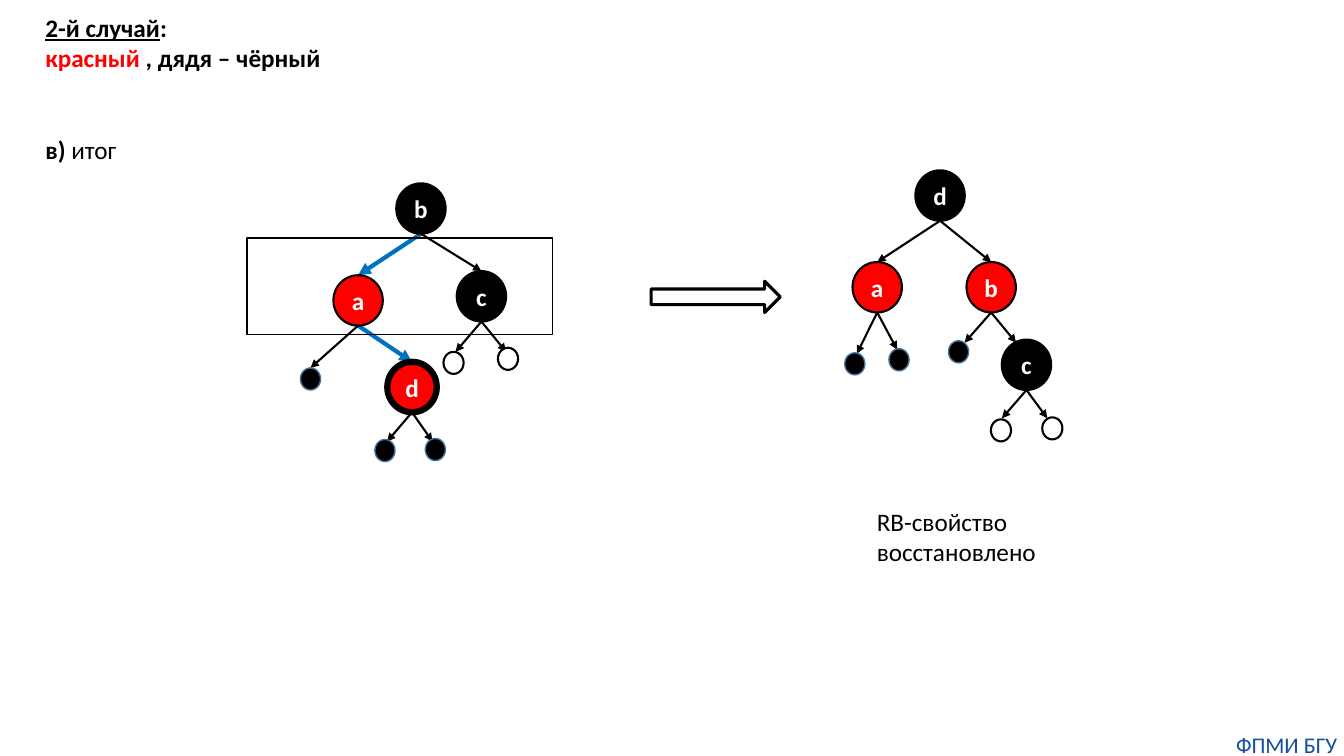
"""Build the slide showing the second red-black tree case and its result."""
import dataclasses

import pptx
import pptx.dml.color
import pptx.enum.shapes
import pptx.enum.text
import pptx.util
from lxml import etree

Pt = pptx.util.Pt
Shape = pptx.enum.shapes.MSO_SHAPE
Align = pptx.enum.text.PP_ALIGN
Anchor = pptx.enum.text.MSO_ANCHOR


@dataclasses.dataclass(frozen=True)
class Theme:
    """Colours, font and sizes of the slide."""
    font: str = "Calibri"
    body_size: float = 18
    footer_size: float = 16
    black: str = "000000"
    white: str = "FFFFFF"
    red: str = "FF0000"
    path_blue: str = "0070C0"
    leaf_line: str = "43739E"
    footer_blue: str = "144E9D"
    node_size: tuple = (35.3, 36)
    leaf_size: tuple = (14.4, 15.8)


THEME = Theme()


@dataclasses.dataclass(frozen=True)
class Node:
    """A tree node placed by its top centre, with the arrow tip offset from there."""
    label: str
    parent: str
    x: float
    top: float
    fill: str
    tip: tuple = (0, 0)
    line_width: float = 1.5
    on_path: bool = False


BLACK, RED, WHITE = THEME.black, THEME.red, THEME.white

TREE_BEFORE = [
    Node("b", "", 300.7, 131, BLACK),
    Node("a", "b", 255.8, 196.6, RED, on_path=True),
    Node("c", "b", 343.9, 193.7, BLACK),
    Node("d", "a", 294.3, 258.5, RED, line_width=4.5, on_path=True),
    Node("", "a", 221.8, 262.8, BLACK),
    Node("", "c", 324, 251.3, WHITE, (1.4, 0)),
    Node("", "c", 362.9, 248.4, WHITE, (-1.4, 2.9)),
    Node("", "d", 275, 313.9, BLACK, (1.5, 1.5)),
    Node("", "d", 311, 313.2, BLACK, (-2.1, 2.2)),
]
TREE_AFTER = [
    Node("d", "", 671.5, 121.7, BLACK),
    Node("a", "d", 626.6, 187.2, RED),
    Node("b", "d", 708, 187.2, RED),
    Node("c", "b", 733.2, 242.6, BLACK, (-7.4, 2.2)),
    Node("", "a", 610.6, 252, BLACK, (1.4, 0.7)),
    Node("", "a", 642.2, 249.1, BLACK, (-1.4, 0.7)),
    Node("", "b", 684.7, 243.4, BLACK, (4.3, 1.4)),
    Node("", "c", 715, 299.5, WHITE, (0.7, -0.7)),
    Node("", "c", 751.7, 298.1, WHITE, (-3.6, 0.7)),
]


def rgb(code):
    """Return the colour object for a hex code."""
    return pptx.dml.color.RGBColor.from_string(code)


def write_text(shape, paragraphs, *, size=THEME.body_size, color=BLACK, bold=False,
               align=Align.LEFT, anchor=Anchor.TOP, wrap=True, margins=None, gaps=None):
    """Fill a shape with paragraphs of (text, overrides) runs; gaps maps index to space before."""
    frame = shape.text_frame
    frame.auto_size = pptx.enum.text.MSO_AUTO_SIZE.NONE
    frame.word_wrap = wrap
    frame.vertical_anchor = anchor
    if margins is not None:
        frame.margin_left = frame.margin_right = Pt(margins)
        frame.margin_top = frame.margin_bottom = Pt(margins)
    for index, runs in enumerate(paragraphs):
        paragraph = frame.add_paragraph() if index else frame.paragraphs[0]
        paragraph.alignment = align
        paragraph.space_before = Pt((gaps or {}).get(index, 0))
        for text, overrides in runs:
            run = paragraph.add_run()
            run.text = text
            run.font.name = THEME.font
            run.font.size = Pt(size)
            run.font.bold = overrides.get("bold", bold)
            run.font.underline = overrides.get("underline", False)
            run.font.color.rgb = rgb(overrides.get("color", color))


def add_text(slide, box, paragraphs, **text_format):
    """Add a text box."""
    shape = slide.shapes.add_textbox(*map(Pt, box))
    write_text(shape, paragraphs, **text_format)


def add_outline(shapes, kind, box, fill=None, line=BLACK, width=1.5):
    """Add a preset shape, unfilled unless a fill is given."""
    shape = shapes.add_shape(kind, *map(Pt, box))
    shape.shadow.inherit = False
    if fill:
        shape.fill.solid()
        shape.fill.fore_color.rgb = rgb(fill)
    else:
        shape.fill.background()
    shape.line.color.rgb = rgb(line)
    shape.line.width = Pt(width)
    return shape


def add_arrow(shapes, start, end, color, width):
    """Add a straight connector with a triangular head."""
    connector = shapes.add_connector(
        pptx.enum.shapes.MSO_CONNECTOR.STRAIGHT, *map(Pt, (*start, *end)))
    connector.line.color.rgb = rgb(color)
    connector.line.width = Pt(width)
    namespace = "{http://schemas.openxmlformats.org/drawingml/2006/main}"
    properties = connector.line.color and connector._element.spPr
    etree.SubElement(properties.find(namespace + "ln"), namespace + "tailEnd", type="triangle")
    etree.SubElement(properties, namespace + "effectLst")


def add_node(shapes, node):
    """Add a labelled node or a small empty leaf."""
    width, height = THEME.node_size if node.label else THEME.leaf_size
    dark_leaf = not node.label and node.fill == BLACK
    shape = add_outline(
        shapes, Shape.OVAL, (node.x - width / 2, node.top, width, height), node.fill,
        THEME.leaf_line if dark_leaf else BLACK, 1 if dark_leaf else node.line_width)
    if node.label:
        write_text(shape, [[(node.label, {})]], color=WHITE, bold=True,
                   align=Align.CENTER, anchor=Anchor.MIDDLE, margins=0)


def add_tree(slide, nodes):
    """Add a grouped tree, with its edges behind its nodes."""
    shapes = slide.shapes.add_group_shape().shapes
    named = {node.label: node for node in nodes if node.label}
    for node in nodes:
        if node.parent:
            parent = named[node.parent]
            start = (parent.x, parent.top + THEME.node_size[1])
            end = (node.x + node.tip[0], node.top + node.tip[1])
            color, width = (THEME.path_blue, 3) if node.on_path else (BLACK, 1.5)
            add_arrow(shapes, start, end, color, width)
    for node in nodes:
        add_node(shapes, node)


def add_heading(slide):
    """Place the case description in the title placeholder."""
    title = slide.shapes.title
    title.left, title.top, title.width, title.height = map(Pt, (25.2, 5, 267, 116.6))
    write_text(title, [
        [("2-й случай", {"underline": True}), (":", {})],
        [("красный ", {"color": RED}), (", дядя – чёрный", {})],
        [("в) ", {}), ("итог", {"bold": False})],
    ], bold=True, gaps={2: 44})


def main():
    """Build and save the slide."""
    presentation = pptx.Presentation()
    presentation.slide_width, presentation.slide_height = Pt(960), Pt(540)
    slide = presentation.slides.add_slide(presentation.slide_layouts[5])
    add_heading(slide)
    add_text(slide, (878.4, 522, 81.4, 19.4), [[("ФПМИ БГУ", {})]], size=THEME.footer_size,
             color=THEME.footer_blue, align=Align.CENTER, wrap=False, margins=0)
    add_tree(slide, TREE_BEFORE)
    add_outline(slide.shapes, Shape.RECTANGLE, (176.4, 170, 218.2, 69.1), width=1)
    add_tree(slide, TREE_AFTER)
    add_text(slide, (619.2, 357.8, 129.6, 51.1),
             [[("RB-свойство", {})], [("восстановлено", {})]], wrap=False)
    add_outline(slide.shapes, Shape.RIGHT_ARROW, (465.1, 200.9, 92.2, 22.3), width=2.25)
    presentation.save("out.pptx")


if __name__ == "__main__":
    main()
